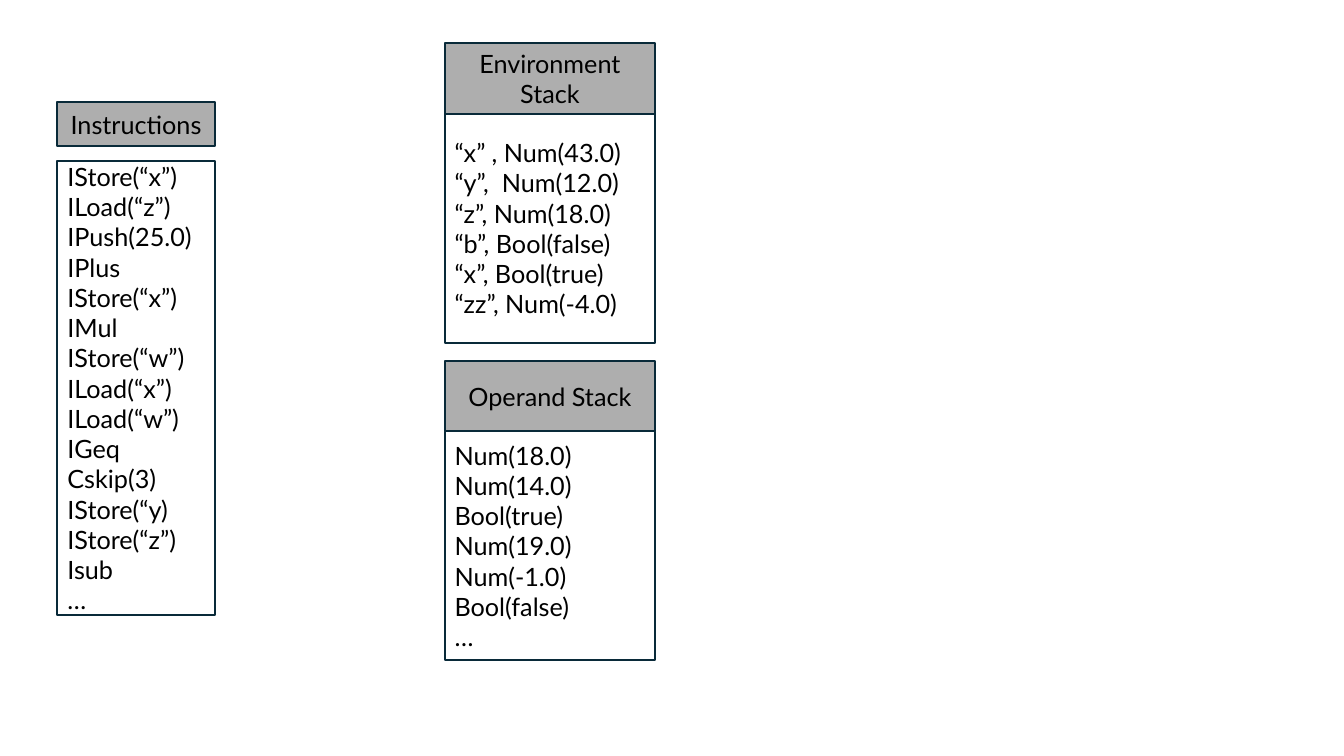
from dataclasses import dataclass

import pptx
import pptx.dml.color
import pptx.enum.shapes
import pptx.enum.text
import pptx.util

Inches = pptx.util.Inches
ALIGN = pptx.enum.text.PP_ALIGN

HEADER_FILL = "AEAEAE"
OUTLINE = "092A39"
TEXT = "000000"


@dataclass
class Listing:
    """A titled box above a box of lines; lengths are in inches."""
    title: str
    lines: list[str]
    left: float
    top: float
    width: float
    header_height: float
    body_height: float
    gap: float = 0


def stack(title: str, lines: list[str], top: float) -> Listing:
    return Listing(title, lines, 4.41, top, 2.09, 0.7, 2.27)


LISTINGS = [
    Listing(
        "Instructions",
        ["IStore(“x”)", "ILoad(“z”)", "IPush(25.0)", "IPlus", "IStore(“x”)",
         "IMul", "IStore(“w”)", "ILoad(“x”)", "ILoad(“w”)", "IGeq",
         "Cskip(3)", "IStore(“y)", "IStore(“z”)", "Isub", "…"],
        left=0.57, top=1.01, width=1.56,
        header_height=0.44, body_height=4.5, gap=0.15,
    ),
    stack(
        "Environment Stack",
        ["“x” , Num(43.0)", "“y”,  Num(12.0)", "“z”, Num(18.0)",
         "“b”, Bool(false)", "“x”, Bool(true)", "“zz”, Num(-4.0)"],
        top=0.43,
    ),
    stack(
        "Operand Stack",
        ["Num(18.0)", "Num(14.0)", "Bool(true)", "Num(19.0)", "Num(-1.0)",
         "Bool(false)", "…"],
        top=3.58,
    ),
]


def color(value: str) -> pptx.dml.color.RGBColor:
    return pptx.dml.color.RGBColor.from_string(value)


def write_lines(frame, lines: list[str], *, align=ALIGN.LEFT,
                size: float = 18, font: str = "Lato", ink: str = TEXT) -> None:
    frame.word_wrap = True
    frame.vertical_anchor = pptx.enum.text.MSO_ANCHOR.MIDDLE
    for index, line in enumerate(lines):
        para = frame.add_paragraph() if index else frame.paragraphs[0]
        para.alignment = align
        span = para.add_run()
        span.text = line
        span.font.name = font
        span.font.size = pptx.util.Pt(size)
        span.font.color.rgb = color(ink)


def add_box(page, left: float, top: float, width: float, height: float,
            fill: str | None = None):
    box = page.shapes.add_shape(
        pptx.enum.shapes.MSO_SHAPE.RECTANGLE,
        Inches(left), Inches(top), Inches(width), Inches(height))
    box.shadow.inherit = False
    if fill:
        box.fill.solid()
        box.fill.fore_color.rgb = color(fill)
    else:
        box.fill.background()
    box.line.color.rgb = color(OUTLINE)
    box.line.width = pptx.util.Pt(1.5)
    return box


def draw_listing(page, listing: Listing) -> None:
    body_top = listing.top + listing.header_height + listing.gap
    body = add_box(page, listing.left, body_top,
                   listing.width, listing.body_height)
    write_lines(body.text_frame, listing.lines)
    header = add_box(page, listing.left, listing.top,
                     listing.width, listing.header_height, HEADER_FILL)
    write_lines(header.text_frame, [listing.title], align=ALIGN.CENTER)


def main() -> None:
    deck = pptx.Presentation()
    deck.slide_width = Inches(13.33)
    deck.slide_height = Inches(7.5)
    page = deck.slides.add_slide(deck.slide_layouts[6])
    for listing in LISTINGS:
        draw_listing(page, listing)
    deck.save("out.pptx")


if __name__ == "__main__":
    main()
